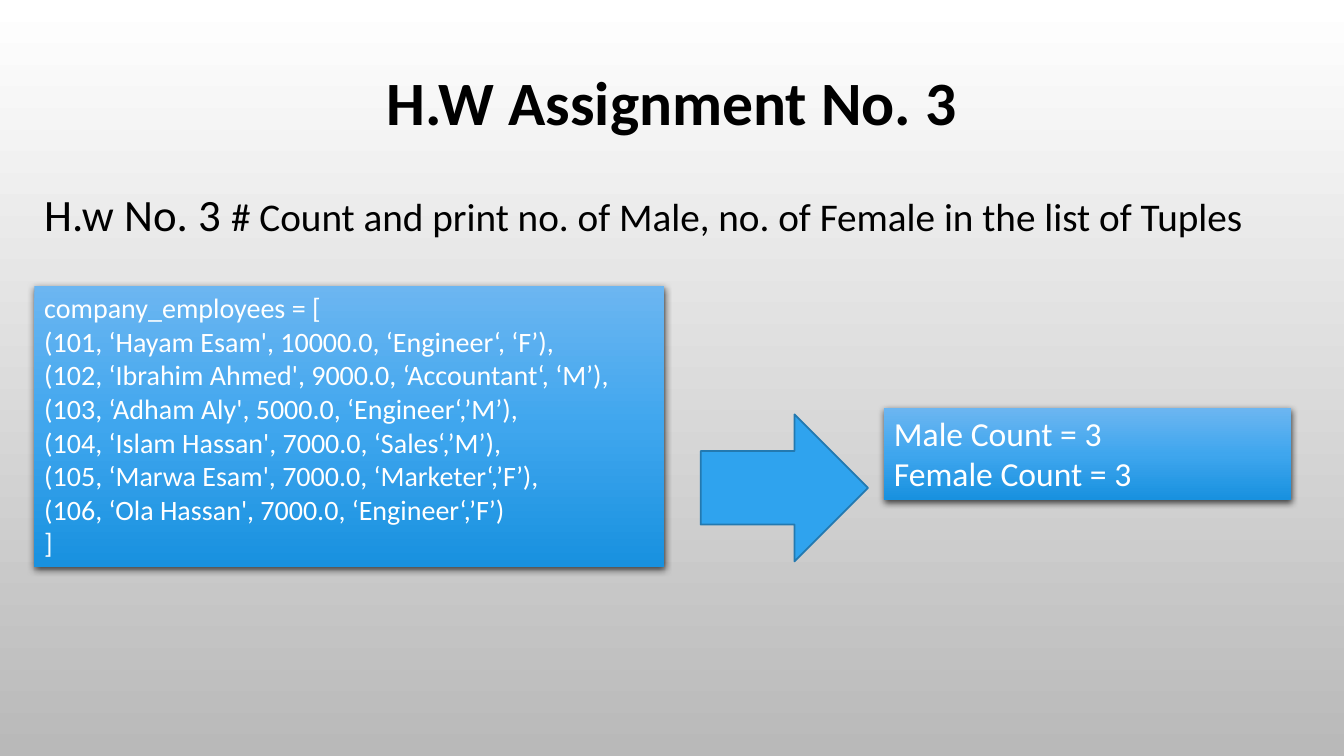
from copy import deepcopy

from lxml import etree
from pptx import Presentation
from pptx.dml.color import RGBColor
from pptx.enum.shapes import MSO_SHAPE
from pptx.enum.text import MSO_ANCHOR, MSO_AUTO_SIZE, PP_ALIGN
from pptx.oxml.ns import qn
from pptx.util import Pt

RECT, ARROW = MSO_SHAPE.RECTANGLE, MSO_SHAPE.RIGHT_ARROW
TOP, BOTTOM = MSO_ANCHOR.TOP, MSO_ANCHOR.BOTTOM
FIXED, GROW = MSO_AUTO_SIZE.NONE, MSO_AUTO_SIZE.SHAPE_TO_FIT_TEXT
LEFT, CENTER = PP_ALIGN.LEFT, PP_ALIGN.CENTER

TITLE_ONLY = 5
FONT = "Calibri"
BACKGROUND = ["FFFFFF", "B9B9B9"]
PANEL_BLUES = ["6CB6F1", "3FA6EE", "1891DF"]

EMPLOYEES = [
    "company_employees = [",
    "(101, ‘Hayam Esam', 10000.0, ‘Engineer‘, ‘F’),",
    "(102, ‘Ibrahim Ahmed', 9000.0, ‘Accountant‘, ‘M’),",
    "(103, ‘Adham Aly', 5000.0, ‘Engineer‘,’M’),",
    "(104, ‘Islam Hassan', 7000.0, ‘Sales‘,’M’),",
    "(105, ‘Marwa Esam', 7000.0, ‘Marketer‘,’F’),",
    "(106, ‘Ola Hassan', 7000.0, ‘Engineer‘,’F’)",
    "]",
]
COUNTS = ["Male Count = 3", "Female Count = 3"]


def rgb(value):
    """Turn a hex string into a colour."""
    return RGBColor.from_string(value)


def add_run(p, text, size, color="000000", bold=False):
    """Append formatted text to a paragraph."""
    r = p.add_run()
    r.text = text
    r.font.name, r.font.size, r.font.bold = FONT, Pt(size), bold
    r.font.color.rgb = rgb(color)


def setup_frame(tf, anchor=TOP, auto_size=GROW):
    """Wrap and anchor a text frame and return its first paragraph."""
    tf.word_wrap = True
    tf.auto_size = auto_size
    tf.vertical_anchor = anchor
    return tf.paragraphs[0]


def fill_gradient(fill, element, colors):
    """Fill from top to bottom with evenly spaced colours."""
    fill.gradient()
    fill.gradient_angle = 270
    stop_list = next(element.iter(qn("a:gsLst")))
    while len(stop_list) < len(colors):
        stop_list.append(deepcopy(stop_list[0]))
    for i, (stop, color) in enumerate(zip(fill.gradient_stops, colors)):
        stop.color.rgb = rgb(color)
        stop.position = i / (len(colors) - 1)


def add_shadow(sp):
    """Give a shape a soft shadow below it."""
    sp.shadow.inherit = False
    effects = sp._element.spPr.find(qn("a:effectLst"))
    shadow = etree.SubElement(effects, qn("a:outerShdw"), blurRad=str(Pt(5)),
                              dist=str(Pt(2)), dir="5400000", rotWithShape="0")
    color = etree.SubElement(shadow, qn("a:srgbClr"), val="000000")
    etree.SubElement(color, qn("a:alpha"), val="69000")


def add_title(s, text, left, top, width, height):
    """Place the slide title in the given box."""
    sp = s.shapes.title
    sp.left, sp.top, sp.width, sp.height = map(Pt, (left, top, width, height))
    p = setup_frame(sp.text_frame, BOTTOM, FIXED)
    p.alignment, p.line_spacing, p.space_before = CENTER, 0.8, Pt(10)
    add_run(p, text, 44, bold=True)


def add_question(s, label, task, left, top, width, height):
    """Write the assignment label and its task on one line."""
    sp = s.shapes.add_textbox(*map(Pt, (left, top, width, height)))
    p = setup_frame(sp.text_frame)
    add_run(p, label, 32)
    add_run(p, task, 28)


def add_arrow(s, left, top, width, height):
    """Draw the arrow from the data to the result."""
    sp = s.shapes.add_shape(ARROW, *map(Pt, (left, top, width, height)))
    sp.shadow.inherit = False
    sp.fill.solid()
    sp.fill.fore_color.rgb = rgb("2FA3EE")
    sp.line.color.rgb = rgb("2379B0")
    sp.line.width = Pt(1.25)


def add_panel(s, lines, size, left, top, width, height):
    """Draw a blue panel with one paragraph per line."""
    sp = s.shapes.add_shape(RECT, *map(Pt, (left, top, width, height)))
    fill_gradient(sp.fill, sp._element, PANEL_BLUES)
    sp.line.fill.background()
    add_shadow(sp)
    tf = sp.text_frame
    p = setup_frame(tf)
    for i, line in enumerate(lines):
        p = tf.add_paragraph() if i else p
        p.alignment = LEFT
        add_run(p, line, size, "FFFFFF")


def build_assignment(prs):
    """Build the assignment slide."""
    s = prs.slides.add_slide(prs.slide_layouts[TITLE_ONLY])
    fill_gradient(s.background.fill, s._element, BACKGROUND)
    add_title(s, "H.W Assignment No. 3", 66, 0, 828, 101.5)
    add_question(s, "H.w No. 3 ",
                 "# Count and print no. of Male, no. of Female in the list of Tuples",
                 24.5, 129.5, 911, 46)
    add_arrow(s, 500.5, 296, 119.5, 105)
    add_panel(s, EMPLOYEES, 20, 24.5, 204, 450, 201)
    add_panel(s, COUNTS, 24, 631.5, 291.5, 291, 65.5)


def main():
    """Create and save the presentation."""
    prs = Presentation()
    prs.slide_width, prs.slide_height = Pt(960), Pt(540)
    build_assignment(prs)
    prs.save("out.pptx")


if __name__ == "__main__":
    main()
